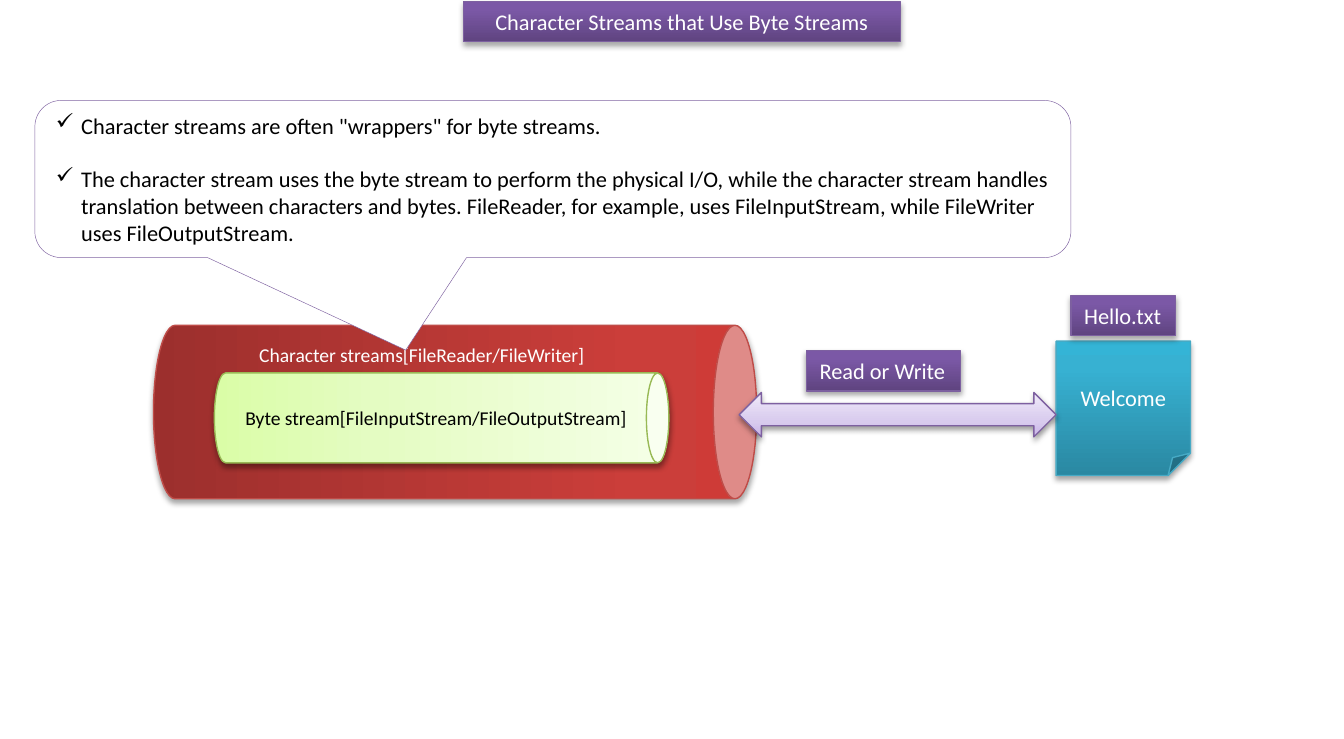
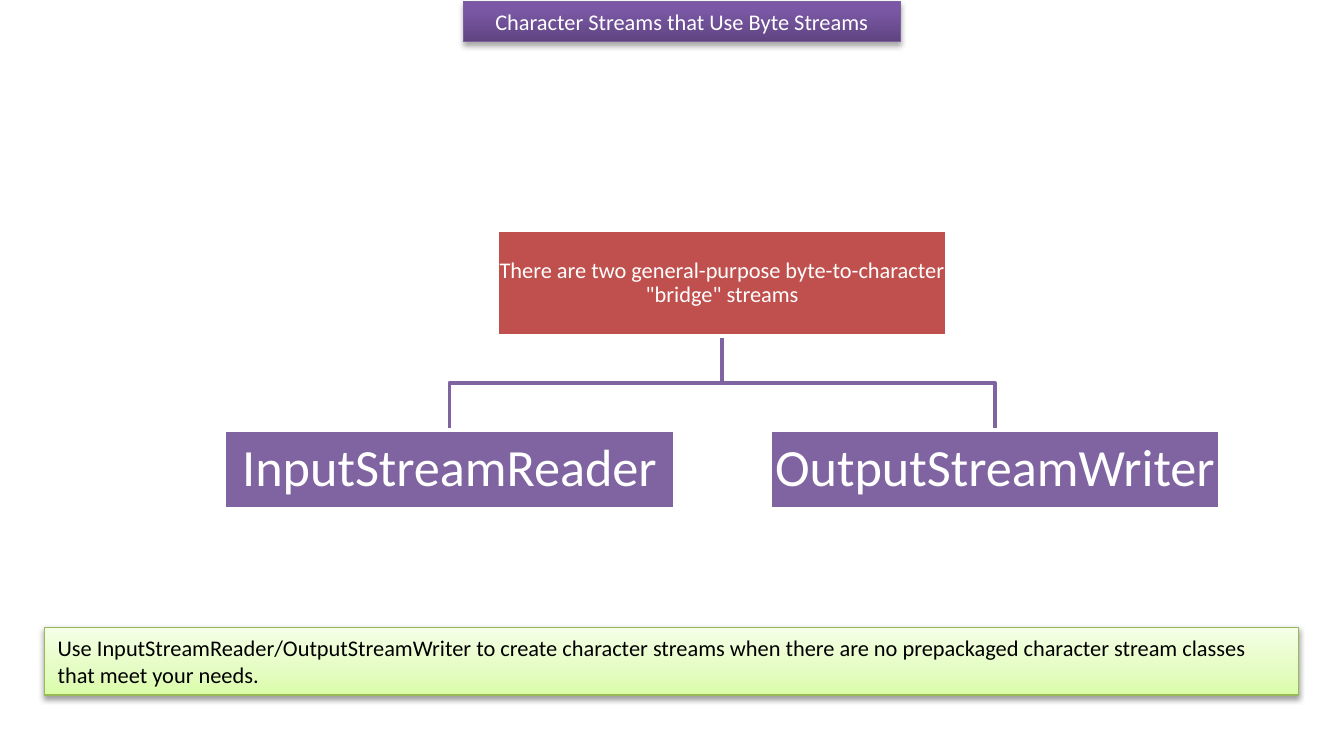
import copy
from dataclasses import dataclass

import pptx
import pptx.dml.color
import pptx.enum.shapes
import pptx.enum.text
import pptx.oxml
import pptx.oxml.ns
import pptx.util

Cm, Pt = pptx.util.Cm, pptx.util.Pt
RGB = pptx.dml.color.RGBColor.from_string
MSO = pptx.enum.shapes.MSO_SHAPE
ALIGN = pptx.enum.text.PP_ALIGN
ANCHOR = pptx.enum.text.MSO_ANCHOR
NS = pptx.oxml.ns.nsdecls("a")


@dataclass(frozen=True)
class Skin:
    stops: tuple          # (position, colour), from bottom to top
    line: str
    width: float = 0.75
    shadow: tuple = ()    # (opacity %, blur pt, distance pt)


STRONG, SOFT = (35, 3.1, 1.8), (38, 3.1, 1.6)


class Theme:
    font = "Calibri"
    white, black = "FFFFFF", "000000"
    body, small, large = 12, 10.5, 28
    purple = Skin(((0, "5F4480"), (0.8, "7B58A6"), (1, "7C57A8")), "7D60A0", shadow=STRONG)
    red = Skin(((0, "9C2F2D"), (0.8, "CB3E3A"), (1, "CE3B37")), "BF4C48", shadow=STRONG)
    aqua = Skin(((0, "2A88A2"), (0.8, "37B1D2"), (1, "34B4D6")), "46AAC5", shadow=STRONG)
    green = Skin(((0, "DAFDA7"), (0.35, "E4FCC2"), (1, "F5FFE7")), "98B955", shadow=SOFT)
    lilac = Skin(((0, "C9B5E8"), (0.35, "D8CBEE"), (1, "F0EAF9")), "7D60A0", shadow=SOFT)
    bubble = Skin(((0, "FFFFFF"),), "8064A2", 0.25)
    root = Skin(((0, "C0504D"),), "FFFFFF", 2)
    leaf = Skin(((0, "8064A2"),), "FFFFFF", 2)
    branch = Skin((), "8064A2", 2)


def cm(*values):
    return [Cm(v) for v in values]


def within(box, dx, dy, w, h):
    """Box of size w by h, offset from the corner of another box."""
    return box[0] + dx, box[1] + dy, w, h


def paint(sp, skin):
    """Fill, outline and shadow of a shape."""
    sp.shadow.inherit = False
    if len(skin.stops) > 1:
        sp.fill.gradient()
        sp.fill.gradient_angle = 90
        last = sp.fill.gradient_stops[-1]._gs
        for _ in skin.stops[2:]:
            last.addnext(copy.deepcopy(last))
        for stop, (position, color) in zip(sp.fill.gradient_stops, skin.stops):
            stop.position = position
            stop.color.rgb = RGB(color)
    elif skin.stops:
        sp.fill.solid()
        sp.fill.fore_color.rgb = RGB(skin.stops[0][1])
    else:
        sp.fill.background()
    sp.line.color.rgb = RGB(skin.line)
    sp.line.width = Pt(skin.width)
    if skin.shadow:
        alpha, blur, dist = skin.shadow
        effects = sp._element.spPr.find(pptx.oxml.ns.qn("a:effectLst"))
        effects.append(pptx.oxml.parse_xml(
            f'<a:outerShdw {NS} blurRad="{Pt(blur)}" dist="{Pt(dist)}" dir="5400000" '
            f'rotWithShape="0"><a:srgbClr val="000000">'
            f'<a:alpha val="{alpha * 1000}"/></a:srgbClr></a:outerShdw>'))


def write(sp, *texts, size=Theme.body, color=Theme.white, align=ALIGN.CENTER,
          frame=None, bullet=None, **para):
    """Fill a shape with paragraphs; frame and para hold format values."""
    tf = sp.text_frame
    for name, value in {"word_wrap": True, **(frame or {})}.items():
        setattr(tf, name, value)
    for i, text in enumerate(texts):
        p = tf.paragraphs[0] if i == 0 else tf.add_paragraph()
        if bullet:
            indent = Cm(0.48)
            pPr = p._p.get_or_add_pPr()
            pPr.set("marL", str(indent))
            pPr.set("indent", str(-indent))
            pPr.append(pptx.oxml.parse_xml(f'<a:buChar {NS} char="{bullet}"/>'))
        for name, value in {"alignment": align, **para}.items():
            setattr(p, name, value)
        if i:
            p.space_before = Pt(14.4)
        r = p.add_run()
        r.text = text
        for name, value in {"name": Theme.font, "size": Pt(size)}.items():
            setattr(r.font, name, value)
        r.font.color.rgb = RGB(color)


def add(s, kind, box, skin):
    sp = s.shapes.add_shape(kind, *cm(*box))
    paint(sp, skin)
    return sp


def tag(s, box, text, **style):
    """Purple plate with one line of text."""
    write(add(s, MSO.RECTANGLE, box, Theme.purple), text, **style)


def lying_can(s, box, skin):
    """Cylinder turned on its side so that it fills the box."""
    x, y, w, h = box
    sp = add(s, MSO.CAN, (x + (w - h) / 2, y + (h - w) / 2, h, w), skin)
    sp.rotation = 90
    return sp


def title(s):
    tag(s, (8.76, 0.03, 8.26, 0.76), "Character Streams that Use Byte Streams")


def pipe(s, box):
    # Outer character stream
    lying_can(s, box, Theme.red)
    # Inner byte stream, text turned back to horizontal
    sp = lying_can(s, within(box, 1.15, 0.9, 8.59, 1.7), Theme.green)
    write(sp, "Byte stream[FileInputStream/FileOutputStream]",
          size=Theme.small, color=Theme.black)
    sp.text_frame._txBody.bodyPr.set("vert", "vert270")
    # Caption of the outer stream
    tb = s.shapes.add_textbox(*cm(*within(box, 1.75, 0.2, 6.81, 0.71)))
    write(tb, "Character streams[FileReader/FileWriter]", size=Theme.small,
          align=ALIGN.LEFT, frame={"word_wrap": False})


def callout(s, box):
    sp = add(s, MSO.ROUNDED_RECTANGULAR_CALLOUT, box, Theme.bubble)
    for i, value in enumerate((-0.142, 1.089, 0.167)):
        sp.adjustments[i] = value
    write(sp, 'Character streams are often "wrappers" for byte streams.',
          "The character stream uses the byte stream to perform the physical I/O, "
          "while the character stream handles translation between characters and "
          "bytes. FileReader, for example, uses FileInputStream, "
          "while FileWriter uses FileOutputStream.",
          color=Theme.black, align=ALIGN.LEFT, bullet="✓")


def text_file(s, box):
    sp = add(s, MSO.FOLDED_CORNER, within(box, 0, 0.86, 2.54, 2.54), Theme.aqua)
    write(sp, "Welcome")
    tag(s, within(box, 0.28, 0, 1.98, 0.76), "Hello.txt",
        align=ALIGN.LEFT, frame={"word_wrap": False})


def transfer(s, box):
    add(s, MSO.LEFT_RIGHT_ARROW, within(box, 0, 0.79, box[2], 0.84), Theme.lilac)
    tag(s, within(box, 1.27, 0, 2.92, 0.76), "Read or Write",
        align=ALIGN.LEFT, frame={"word_wrap": False})


def tree(s, box):
    """Root box above two leaves at the sides, joined by elbow branches."""
    x, y, w, h = box
    node_w, root_h, leaf_h = 8.51, 2.0, 1.5
    mid, root_end, leaf_top = x + w / 2, y + root_h, y + h - leaf_h
    bend = (root_end + leaf_top) / 2
    leaves = {"InputStreamReader": x, "OutputStreamWriter": x + w - node_w}
    # Branches
    for left in leaves.values():
        end = left + node_w / 2
        fb = s.shapes.build_freeform(*cm(mid, root_end))
        fb.add_line_segments([cm(mid, bend), cm(end, bend), cm(end, leaf_top)], close=False)
        paint(fb.convert_to_shape(), Theme.branch)
    # Nodes
    nodes = [("There are two general-purpose byte-to-character \"bridge\" streams",
              mid - node_w / 2, y, root_h, Theme.root, Theme.body)]
    nodes += [(text, left, leaf_top, leaf_h, Theme.leaf, Theme.large)
              for text, left in leaves.items()]
    margins = {f"margin_{side}": Cm(0.03) for side in ("left", "top", "right", "bottom")}
    for text, left, top, height, skin, size in nodes:
        write(add(s, MSO.RECTANGLE, (left, top, node_w, height), skin), text,
              size=size, line_spacing=0.9,
              frame={**margins, "vertical_anchor": ANCHOR.MIDDLE})


def advice(s, box):
    write(add(s, MSO.RECTANGLE, box, Theme.green),
          "Use InputStreamReader/OutputStreamWriter to create character streams when "
          "there are no prepackaged character stream classes that meet your needs.",
          color=Theme.black, align=ALIGN.LEFT)


def wrapper_slide(s):
    pipe(s, (2.9, 6.15, 11.4, 3.28))
    title(s)
    callout(s, (0.66, 1.9, 19.58, 2.97))
    text_file(s, (19.96, 5.59, 2.54, 3.4))
    transfer(s, (13.97, 6.63, 5.99, 1.63))


def bridge_slide(s):
    tree(s, (4.24, 4.35, 18.82, 5.28))
    advice(s, (0.84, 11.86, 23.7, 1.28))
    title(s)


def main():
    prs = pptx.Presentation()
    prs.slide_width, prs.slide_height = cm(25.4, 13.97)
    for build in (wrapper_slide, bridge_slide):
        build(prs.slides.add_slide(prs.slide_layouts[6]))
    prs.save("out.pptx")


if __name__ == "__main__":
    main()
